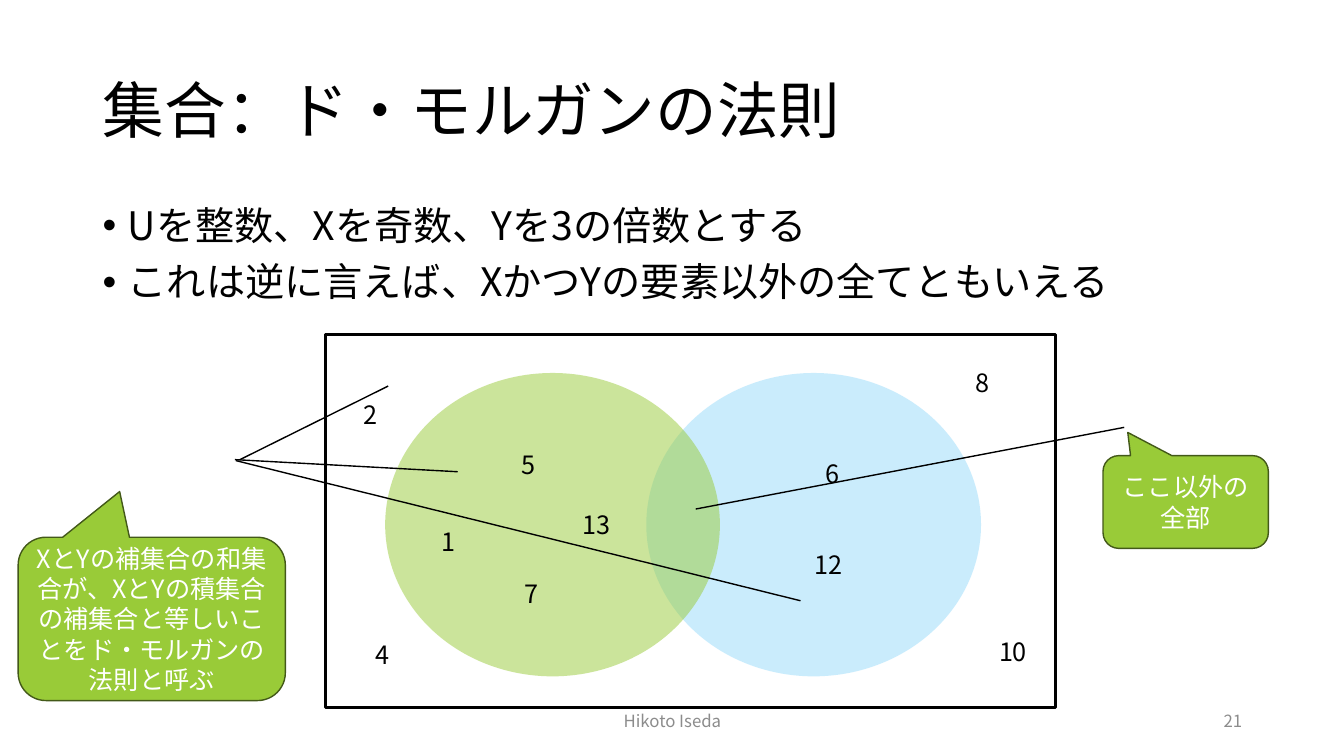
from lxml import etree
from pptx import Presentation, util as u
from pptx.dml.color import RGBColor
from pptx.enum import shapes, text
from pptx.oxml.ns import qn

FONT = "Noto Sans CJK JP"
BLACK, WHITE, GREY = "000000", "FFFFFF", "8C8C8C"
GREEN, DARK_GREEN, BLUE = "99CB38", "435919", "97DBFB"
LEFT, CENTER, RIGHT = text.PP_ALIGN.LEFT, text.PP_ALIGN.CENTER, text.PP_ALIGN.RIGHT
TOP, MIDDLE = text.MSO_ANCHOR.TOP, text.MSO_ANCHOR.MIDDLE
SHAPE = shapes.MSO_SHAPE

NUMBERS = [
    ("1", 42.8, 51.7), ("5", 50.7, 44.1), ("7", 51, 56.9), ("13", 56.8, 50),
    ("6", 80.9, 45), ("12", 79.8, 54), ("2", 35.1, 39.1), ("4", 36.3, 62.9),
    ("8", 95.8, 35.9), ("10", 98.1, 62.6),
]
POINTERS = [
    (23.3, 45.6, 45.4, 46.8), (69, 50.5, 111.5, 42.4),
    (23.4, 45.7, 79.4, 59.6), (23.8, 45.6, 38.5, 38.3),
]


def color(value):
    """Turn a hex string into a colour."""
    return RGBColor.from_string(value)


class Slide:
    """Draw on one page laid out in columns and rows of a tenth of an inch."""

    def __init__(self, deck):
        """Add a title-only page to the deck."""
        self.page = deck.slides.add_slide(deck.slide_layouts[5])
        self.items = self.page.shapes

    def grid(self, *cells):
        """Convert columns and rows to lengths."""
        return [u.Inches(cell / 10) for cell in cells]

    def set_text(self, box, lines, size, ink, align=LEFT, anchor=TOP, wrap=True,
                 spacing=None, bullet=False):
        """Fill a box with paragraphs in the deck font."""
        frame = box.text_frame
        frame.text = "\n".join(lines)
        frame.word_wrap = wrap
        frame.vertical_anchor = anchor
        frame.auto_size = text.MSO_AUTO_SIZE.NONE if wrap else text.MSO_AUTO_SIZE.SHAPE_TO_FIT_TEXT
        for index, para in enumerate(frame.paragraphs):
            para.alignment = align
            if spacing:
                para.line_spacing = spacing
            if index:
                para.space_before = u.Pt(10)
            if bullet:
                self.add_bullet(para)
            font = para.font
            font.name, font.size = FONT, u.Pt(size)
            font.color.rgb = color(ink)
            east_asian = etree.Element(qn("a:ea"), typeface=FONT)
            para._p.pPr.find(".//" + qn("a:latin")).addnext(east_asian)

    def add_bullet(self, para):
        """Give a paragraph a hanging bullet."""
        props = para._p.get_or_add_pPr()
        indent = u.Inches(0.25)
        props.set("marL", str(indent))
        props.set("indent", str(-indent))
        etree.SubElement(props, qn("a:buFont"), typeface="Arial")
        etree.SubElement(props, qn("a:buChar"), char="•")

    def title(self, area, line):
        """Place and format the title."""
        box = self.items.title
        box.left, box.top, box.width, box.height = self.grid(*area)
        self.set_text(box, [line], 44, BLACK, anchor=MIDDLE, spacing=0.9)

    def label(self, area, lines, size, ink=BLACK, **style):
        """Add a text box."""
        box = self.items.add_textbox(*self.grid(*area))
        self.set_text(box, lines, size, ink, **style)

    def shape(self, kind, area, fill=None, line=None, width=1, alpha=None):
        """Add a preset shape without a shadow."""
        shape = self.items.add_shape(kind, *self.grid(*area))
        shape.shadow.inherit = False
        if fill:
            shape.fill.solid()
            shape.fill.fore_color.rgb = color(fill)
        else:
            shape.fill.background()
        if alpha:
            tint = shape._element.spPr.find(".//" + qn("a:srgbClr"))
            etree.SubElement(tint, qn("a:alpha"), val=str(alpha * 1000))
        if line:
            shape.line.color.rgb = color(line)
            shape.line.width = u.Pt(width)
        else:
            shape.line.fill.background()
        return shape

    def callout(self, area, tip, line):
        """Add a green speech bubble pointing at its tip."""
        bubble = self.shape(SHAPE.ROUNDED_RECTANGULAR_CALLOUT, area, GREEN, DARK_GREEN)
        for index, value in enumerate(tip):
            bubble.adjustments[index] = value
        self.set_text(bubble, [line], 18, WHITE, align=CENTER, anchor=MIDDLE)

    def pointer(self, ends):
        """Add a thin straight line."""
        line = self.items.add_connector(shapes.MSO_CONNECTOR.STRAIGHT, *self.grid(*ends))
        line.line.color.rgb = color(BLACK)
        line.line.width = u.Pt(1)
        etree.SubElement(line._element.spPr, qn("a:effectLst"))


def main():
    """Build the slide on De Morgan's law."""
    deck = Presentation()
    deck.slide_width, deck.slide_height = u.Inches(13.33), u.Inches(7.5)
    slide = Slide(deck)
    slide.title((9.2, 4, 115, 14.5), "集合：ド・モルガンの法則")
    slide.label((9.2, 20, 115, 47.6),
                ["Uを整数、Xを奇数、Yを3の倍数とする",
                 "これは逆に言えば、XかつYの要素以外の全てともいえる"],
                28, spacing=0.9, bullet=True)
    slide.label((44.2, 69.5, 45, 4), ["Hikoto Iseda"], 12, GREY, align=CENTER, anchor=MIDDLE)
    slide.label((94.2, 69.5, 30, 4), ["21"], 12, GREY, align=RIGHT, anchor=MIDDLE)

    slide.shape(SHAPE.OVAL, (64.1, 37, 33.2, 30.1), BLUE, alpha=50)
    slide.shape(SHAPE.RECTANGLE, (32.3, 33.2, 72.4, 37), line=BLACK, width=2.25)
    slide.shape(SHAPE.OVAL, (38.2, 37, 33.2, 30.1), GREEN, alpha=50)
    for number, column, row in NUMBERS:
        slide.label((column, row, 2 + 1.4 * len(number), 4), [number], 18, wrap=False)

    for ends in POINTERS:
        slide.pointer(ends)
    slide.callout((109.4, 45.2, 16.4, 9.2), (-0.35, -0.75, 0.17), "ここ以外の全部")
    slide.callout((1.8, 53.3, 26.5, 16.2), (-0.12, -0.78, 0.17),
                  "XとYの補集合の和集合が、XとYの積集合の補集合と等しいことをド・モルガンの法則と呼ぶ")
    deck.save("out.pptx")


if __name__ == "__main__":
    main()
